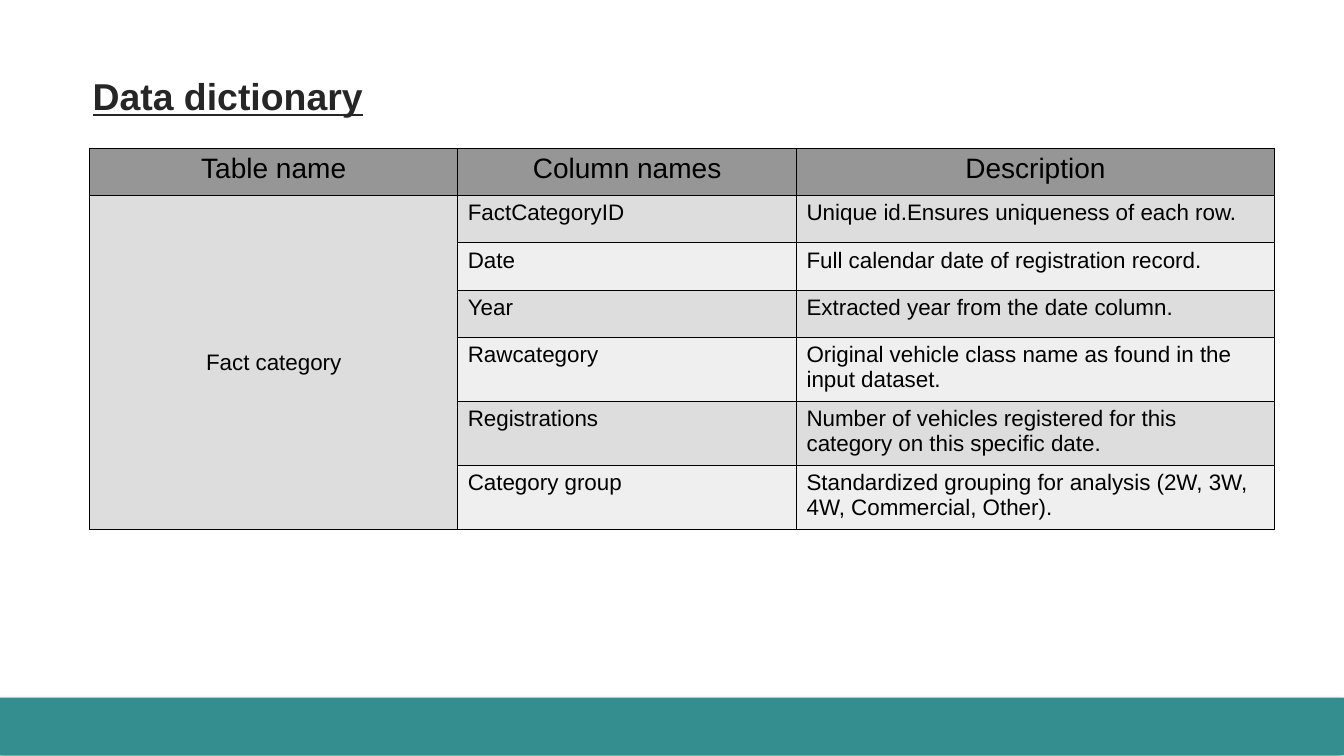
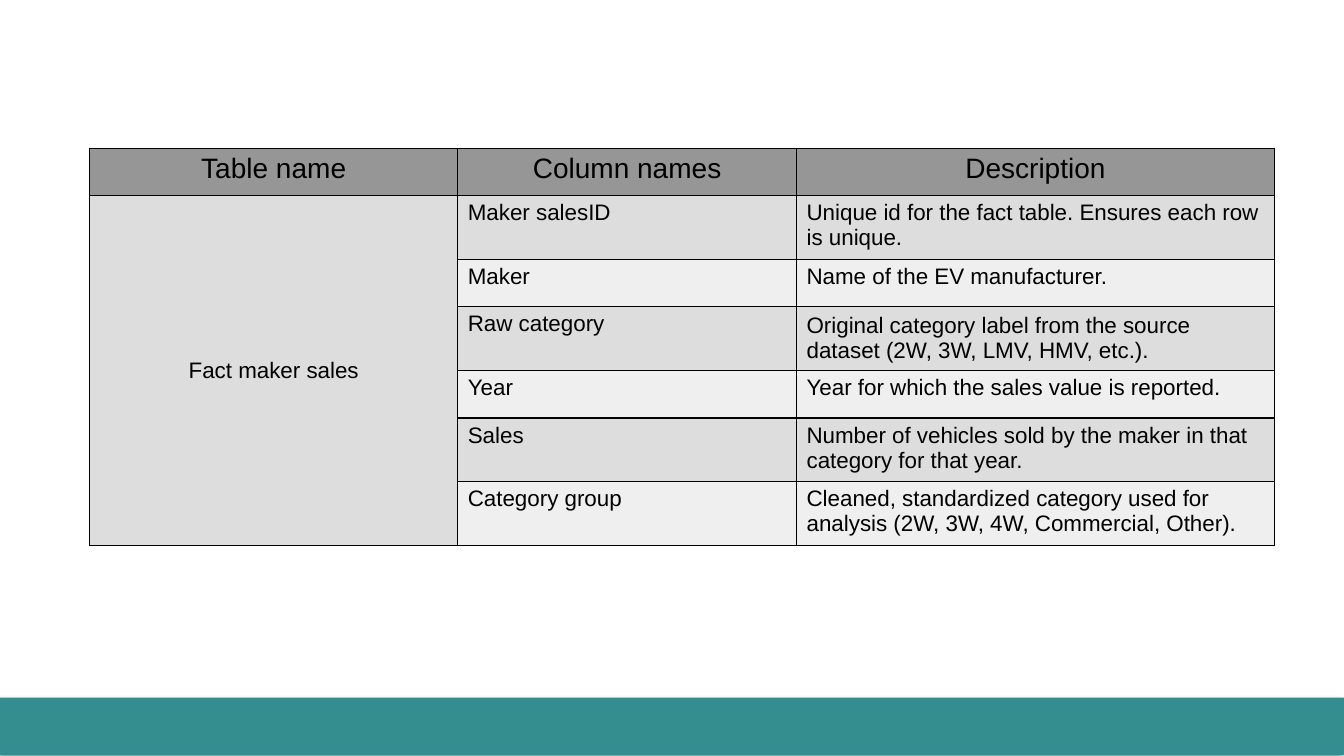
from dataclasses import dataclass
from typing import Optional

from lxml.etree import SubElement
from pptx import Presentation
from pptx.dml.color import RGBColor
from pptx.enum.shapes import MSO_SHAPE
from pptx.enum.text import MSO_ANCHOR, PP_ALIGN
from pptx.oxml import parse_xml
from pptx.oxml.ns import nsdecls, qn
from pptx.util import Inches, Pt

# Shared look
COLORS = {
    "band": "348E90",
    "title": "262626",
    "text": "000000",
    "header": "969696",
    "odd_row": "DDDDDD",
    "even_row": "EFEFEF",
}
FONT = "Arial"
SLIDE_WIDTH, SLIDE_HEIGHT = 13.33, 7.5
BAND_TOP, BAND_HEIGHT = 6.92, 0.57
TABLE_LEFT, TABLE_TOP = 0.89, 1.47
COLUMN_WIDTHS = (3.65, 3.36, 4.74)
ROW_HEIGHTS = {1: 0.47, 2: 0.63}  # by number of text lines
HEADINGS = ("Table name", "Column names", "Description")


@dataclass
class Field:
    name: str
    description: str
    lines: int = 1
    anchor: MSO_ANCHOR = MSO_ANCHOR.TOP


@dataclass
class DictionaryPage:
    table_name: str
    fields: list[Field]
    title: Optional[str] = None


PAGES = [
    DictionaryPage("Fact category", [
        Field("FactCategoryID", "Unique id.Ensures uniqueness of each row."),
        Field("Date", "Full calendar date of registration record."),
        Field("Year", "Extracted year from the date column."),
        Field("Rawcategory", "Original vehicle class name as found in the input dataset.", 2),
        Field("Registrations",
              "Number of vehicles registered for this category on this specific date.", 2),
        Field("Category group",
              "Standardized grouping for analysis (2W, 3W, 4W, Commercial, Other).", 2),
    ], title="Data dictionary"),
    DictionaryPage("Fact maker sales", [
        Field("Maker salesID", "Unique id for the fact table. Ensures each row is unique.", 2),
        Field("Maker", "Name of the EV manufacturer."),
        Field("Raw category",
              "Original category label from the source dataset (2W, 3W, LMV, HMV, etc.).",
              2, MSO_ANCHOR.MIDDLE),
        Field("Year", "Year for which the sales value is reported."),
        Field("Sales", "Number of vehicles sold by the maker in that category for that year.", 2),
        Field("Category group",
              "Cleaned, standardized category used for analysis (2W, 3W, 4W, Commercial, Other).",
              2),
    ]),
]


def color(name: str) -> RGBColor:
    return RGBColor.from_string(COLORS[name])


def style_paragraph(para, size: float, color_name: str) -> None:
    para.font.name = FONT
    para.font.size = Pt(size)
    para.font.color.rgb = color(color_name)


def add_band(page) -> None:
    band = page.shapes.add_shape(
        MSO_SHAPE.RECTANGLE, 0, Inches(BAND_TOP), Inches(SLIDE_WIDTH), Inches(BAND_HEIGHT))
    band.fill.solid()
    band.fill.fore_color.rgb = color("band")
    band.line.fill.background()
    band.shadow.inherit = False
    # Soft shadow towards the lower left
    effects = band._element.spPr.find(qn("a:effectLst"))
    shadow = SubElement(effects, qn("a:outerShdw"), blurRad=str(Pt(4)), dist=str(Pt(3)),
                        dir=str(135 * 60000), algn="tr", rotWithShape="0")
    shade = SubElement(shadow, qn("a:srgbClr"), val=COLORS["text"])
    SubElement(shade, qn("a:alpha"), val="40000")


def add_title(page, text: str) -> None:
    box = page.shapes.add_textbox(Inches(0.82), Inches(0.68), Inches(5.19), Inches(0.55))
    box.text_frame.word_wrap = True
    para = box.text_frame.paragraphs[0]
    para.text = text
    style_paragraph(para, 26.7, "title")
    para.font.bold = True
    para.font.underline = True


def add_borders(cell) -> None:
    properties = cell._tc.get_or_add_tcPr()
    for index, side in enumerate(("lnL", "lnR", "lnT", "lnB")):
        properties.insert(index, parse_xml(
            f'<a:{side} {nsdecls("a")} w="{Pt(1)}"><a:solidFill>'
            f'<a:srgbClr val="{COLORS["text"]}"/></a:solidFill></a:{side}>'))


def fill_cell(cell, text: str, fill: str, size: float = 16, centered: bool = False,
              anchor: MSO_ANCHOR = MSO_ANCHOR.TOP) -> None:
    cell.fill.solid()
    cell.fill.fore_color.rgb = color(fill)
    cell.vertical_anchor = anchor
    add_borders(cell)
    para = cell.text_frame.paragraphs[0]
    para.text = text
    para.alignment = PP_ALIGN.CENTER if centered else PP_ALIGN.LEFT
    style_paragraph(para, size, "text")


def add_dictionary(page, content: DictionaryPage) -> None:
    heights = [ROW_HEIGHTS[lines] for lines in [1] + [field.lines for field in content.fields]]
    table = page.shapes.add_table(
        len(heights), len(HEADINGS), Inches(TABLE_LEFT), Inches(TABLE_TOP),
        Inches(sum(COLUMN_WIDTHS)), Inches(sum(heights))).table
    table.first_row = False
    table.horz_banding = False
    for column, width in zip(table.columns, COLUMN_WIDTHS):
        column.width = Inches(width)
    for row, height in zip(table.rows, heights):
        row.height = Inches(height)

    # Header row
    for index, heading in enumerate(HEADINGS):
        fill_cell(table.cell(0, index), heading, "header", 20, centered=True)

    # One row for each field; the first column becomes one tall cell
    for index, field in enumerate(content.fields, start=1):
        fill = "odd_row" if index % 2 else "even_row"
        name = content.table_name if index == 1 else ""
        fill_cell(table.cell(index, 0), name, "odd_row", centered=True, anchor=MSO_ANCHOR.MIDDLE)
        fill_cell(table.cell(index, 1), field.name, fill)
        fill_cell(table.cell(index, 2), field.description, fill, anchor=field.anchor)
    table.cell(1, 0).merge(table.cell(len(content.fields), 0))


def main() -> None:
    deck = Presentation()
    deck.slide_width, deck.slide_height = Inches(SLIDE_WIDTH), Inches(SLIDE_HEIGHT)
    for content in PAGES:
        page = deck.slides.add_slide(deck.slide_layouts[6])
        add_band(page)
        if content.title:
            add_title(page, content.title)
        add_dictionary(page, content)
    deck.save("out.pptx")


if __name__ == "__main__":
    main()
